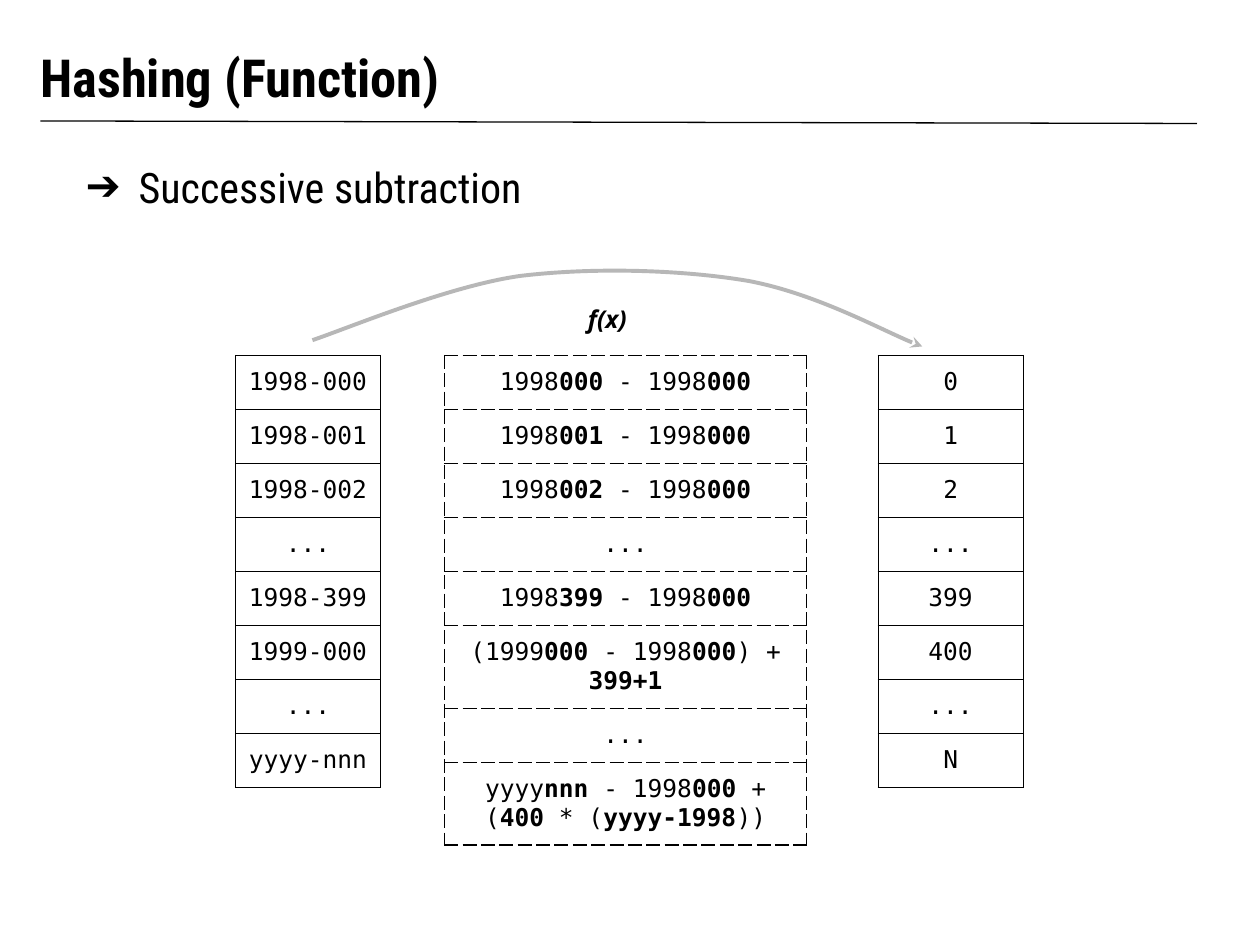
from lxml import etree
from pptx import Presentation
from pptx import util as u
from pptx.dml.color import RGBColor
from pptx.enum import shapes, text
from pptx.oxml import ns

THEME = {
    "ink": "000000", "arrow": "B7B7B7",
    "sans": "Roboto Condensed", "mono": "DejaVu Sans Mono", "label": "Noto Sans",
    "title": 30, "body": 24, "small": 14,
    "rule": 0.75, "curve": 2.25, "inset": 0.1,
}

TITLE = "Hashing (Function)"
BULLET = "Successive subtraction"
LABEL = "f(x)"
TABLE_TOP, ROW_HEIGHT = 2.82, 0.42

# Text between bars is bold.
TABLES = [
    {"left": 1.87, "width": 1.15, "dash": "solid", "rows": [
        "1998-000", "1998-001", "1998-002", "...",
        "1998-399", "1999-000", "...", "yyyy-nnn"]},
    {"left": 6.97, "width": 1.15, "dash": "solid", "rows": [
        "0", "1", "2", "...", "399", "400", "...", "N"]},
    {"left": 3.53, "width": 2.87, "dash": "dash", "rows": [
        "1998|000| - 1998|000", "1998|001| - 1998|000",
        "1998|002| - 1998|000", "...", "1998|399| - 1998|000",
        "(1999|000| - 1998|000|) + |399+1", "...",
        "yyyy|nnn| - 1998|000| + (|400| * (|yyyy-1998|))"]},
]

CURVE_START = (2.48, 2.7)
CURVES = [
    [(2.75, 2.61), (3.56, 2.27), (4.13, 2.19)],
    [(4.71, 2.12), (5.41, 2.14), (5.94, 2.23)],
    [(6.47, 2.33), (7.09, 2.67), (7.32, 2.75)],
]


def write(frame, content, font, size, align=text.PP_ALIGN.LEFT,
          anchor=None, bold=False, italic=False):
    frame.word_wrap = True
    if anchor is not None:
        frame.vertical_anchor = anchor
    para = frame.paragraphs[0]
    para.alignment = align
    for index, part in enumerate(content.split("|")):
        span = para.add_run()
        span.text = part
        span.font.name = font
        span.font.size = u.Pt(size)
        span.font.bold = bold or index % 2 == 1
        span.font.italic = italic
        span.font.color.rgb = RGBColor.from_string(THEME["ink"])
    return para


def place(box, left, top, width, height):
    box.left, box.top, box.width, box.height = map(
        u.Inches, (left, top, width, height))


def set_insets(target):
    for side in ("left", "right", "top", "bottom"):
        setattr(target, "margin_" + side, u.Inches(THEME["inset"]))


def add(parent, tag, **attributes):
    return etree.SubElement(parent, ns.qn(tag), attributes)


def border_cell(cell, dash):
    properties = cell._tc.get_or_add_tcPr()
    for index, side in enumerate("LRTB"):
        line = add(properties, "a:ln" + side, w=str(u.Pt(THEME["rule"])))
        add(add(line, "a:solidFill"), "a:srgbClr", val=THEME["ink"])
        add(line, "a:prstDash", val=dash)
        properties.insert(index, line)


def add_column(page, left, width, dash, rows):
    frame = page.shapes.add_table(
        len(rows), 1, u.Inches(left), u.Inches(TABLE_TOP),
        u.Inches(width), u.Inches(ROW_HEIGHT * len(rows)))
    table = frame.table
    table.first_row = table.horz_banding = False
    for index, content in enumerate(rows):
        cell = table.cell(index, 0)
        cell.fill.background()
        set_insets(cell)
        write(cell.text_frame, content, THEME["mono"], THEME["small"],
              align=text.PP_ALIGN.CENTER)
        border_cell(cell, dash)


def add_curve(page):
    builder = page.shapes.build_freeform(
        *map(u.Inches, CURVE_START))
    builder.add_line_segments(
        [tuple(map(u.Inches, curve[-1])) for curve in CURVES], close=False)
    arrow = builder.convert_to_shape()
    arrow.shadow.inherit = False
    arrow.fill.background()
    arrow.line.color.rgb = RGBColor.from_string(THEME["arrow"])
    arrow.line.width = u.Pt(THEME["curve"])
    add(arrow.line._get_or_add_ln(), "a:tailEnd", type="stealth")
    outline = next(arrow._element.iter(ns.qn("a:path")))
    for segment, curve in zip(outline.findall(ns.qn("a:lnTo")), CURVES):
        outline.remove(segment)
        bezier = add(outline, "a:cubicBezTo")
        for x, y in curve:
            add(bezier, "a:pt", x=str(u.Inches(x) - arrow.left),
                y=str(u.Inches(y) - arrow.top))


def main():
    deck = Presentation()
    deck.slide_width, deck.slide_height = u.Inches(10), u.Inches(7.5)
    page = deck.slides.add_slide(deck.slide_layouts[1])

    rule = page.shapes.add_connector(
        shapes.MSO_CONNECTOR.STRAIGHT,
        *map(u.Inches, (0.32, 0.96, 9.5, 0.98)))
    rule.line.color.rgb = RGBColor.from_string(THEME["ink"])
    rule.line.width = u.Pt(THEME["rule"])
    add(rule._element.spPr, "a:effectLst")

    title, body = page.shapes.title, page.placeholders[1]
    place(title, 0.22, 0.22, 9, 0.74)
    place(body, 0.5, 1.18, 9, 0.74)
    label = page.shapes.add_textbox(
        *map(u.Inches, (4.31, 2.31, 1.02, 0.44)))
    for box in (title, body, label):
        set_insets(box.text_frame)
        box.text_frame.auto_size = text.MSO_AUTO_SIZE.NONE

    write(title.text_frame, TITLE, THEME["sans"], THEME["title"],
          anchor=text.MSO_ANCHOR.BOTTOM, bold=True)
    para = write(body.text_frame, BULLET, THEME["sans"], THEME["body"],
                 anchor=text.MSO_ANCHOR.TOP)
    para.space_before = u.Pt(6)
    properties = para._p.get_or_add_pPr()
    properties.set("marL", str(u.Inches(0.5)))
    properties.set("indent", str(u.Inches(-0.42)))
    add(add(properties, "a:buClr"), "a:srgbClr", val=THEME["ink"])
    add(properties, "a:buFont", typeface=THEME["sans"])
    add(properties, "a:buChar", char="➔")
    write(label.text_frame, LABEL, THEME["label"], THEME["small"],
          align=text.PP_ALIGN.CENTER, bold=True, italic=True)

    add_curve(page)
    for column in TABLES:
        add_column(page, **column)
    deck.save("out.pptx")


if __name__ == "__main__":
    main()
